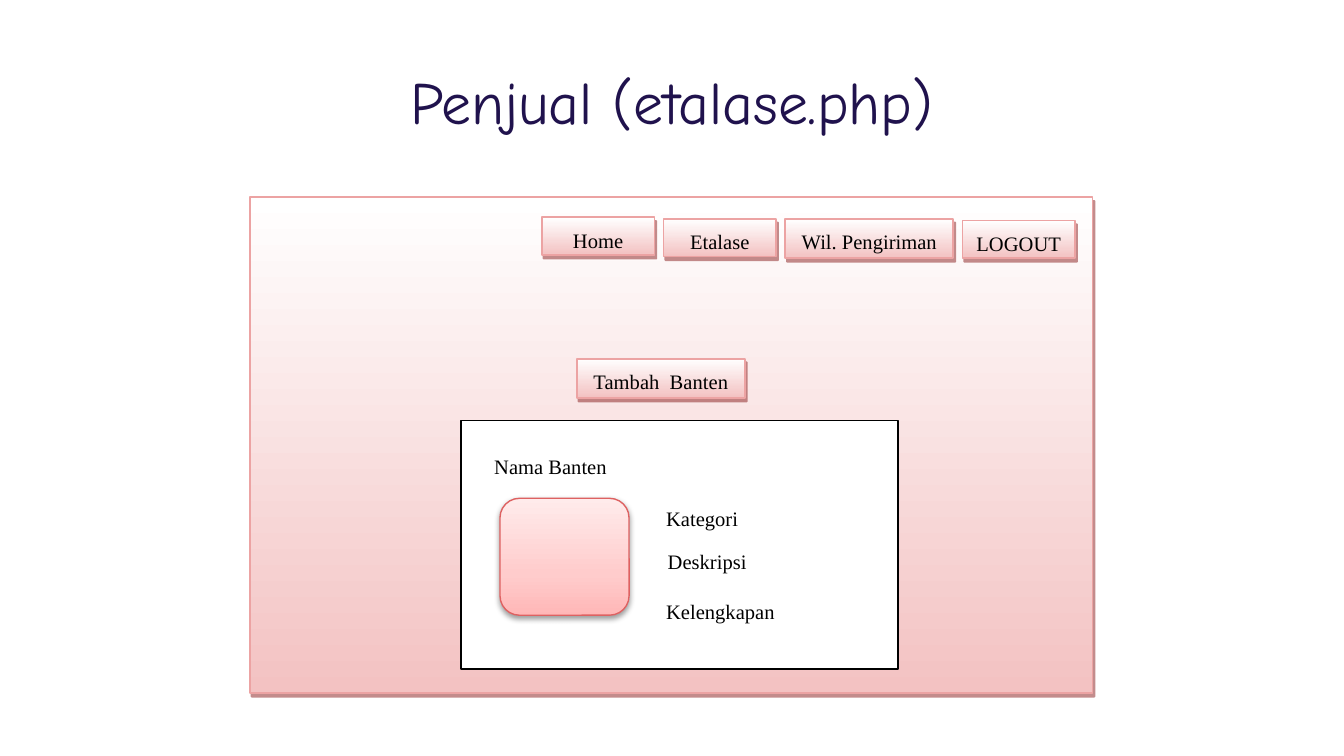
from copy import deepcopy
from dataclasses import dataclass

from lxml import etree
from pptx import Presentation
from pptx.dml.color import RGBColor
from pptx.enum.shapes import MSO_SHAPE as Shape
from pptx.enum.text import MSO_ANCHOR as Anchor, PP_ALIGN as Align
from pptx.oxml.ns import qn
from pptx.util import Cm, Pt

TITLE = "Penjual (etalase.php)"

# Boxes are left, top, width, height in centimetres
TITLE_BOX = (1.98, 1.22, 21.44, 1.6)
PAGE = (4.72, 3.73, 15.93, 9.37)
CARD = (8.71, 7.95, 8.26, 4.7)
PHOTO = (9.45, 9.42, 2.44, 2.21)
ADD_BUTTON = ("Tambah  Banten", (10.9, 6.78, 3.18, 0.74))

MENU_LEFT, MENU_GAP = 10.24, 0.17
MENU = [  # label, top, width, height
    ("Home", 4.11, 2.13, 0.71),
    ("Etalase", 4.14, 2.13, 0.71),
    ("Wil. Pengiriman", 4.14, 3.18, 0.74),
    ("LOGOUT", 4.17, 2.13, 0.71),
]
CARD_LABELS = [
    ("Nama Banten", (9.09, 8.38, 3.23, 0.84)),
    ("Kategori", (12.34, 9.37, 2.18, 0.74)),
    ("Deskripsi", (12.37, 10.19, 2.39, 0.74)),
    ("Kelengkapan", (12.34, 11.13, 3.0, 0.69)),
]


@dataclass(frozen=True)
class Theme:
    title_font: str = "Comic Neue"
    title_size: int = 32
    title_color: str = "20124D"
    font: str = "Times New Roman"
    size: int = 11
    ink: str = "000000"
    paper: str = "FFFFFF"
    # gradient stops run from top to bottom
    panel_stops: tuple = ((0, "FFFFFF"), (1, "F3C2C2"))
    panel_line: str = "ECA3A3"
    panel_shadow: tuple = ("881B1B", 50, 0, 2.2, 63)  # colour, alpha, blur, distance, angle
    photo_stops: tuple = ((0, "FFEBEB"), (0.65, "FFCCCC"), (1, "FFB7B7"))
    photo_line: str = "DE6161"
    photo_shadow: tuple = ("000000", 38, 3.1, 1.6, 90)


THEME = Theme()


def rgb(color):
    return RGBColor.from_string(color)


def lengths(box):
    return [Cm(value) for value in box]


def set_font(paragraph, name, size, color):
    font = paragraph.font
    font.name, font.size = name, Pt(size)
    font.color.rgb = rgb(color)


def write(frame, text, align):
    frame.word_wrap = True
    frame.vertical_anchor = Anchor.TOP
    paragraph = frame.paragraphs[0]
    paragraph.text = text
    paragraph.alignment = align
    paragraph.line_spacing = 1.15
    paragraph.space_after = Pt(10)
    set_font(paragraph, THEME.font, THEME.size, THEME.ink)


def fill_gradient(shape, stops):
    """Fill from top to bottom with any number of stops."""
    shape.fill.gradient()
    shape.fill.gradient_angle = 270
    stop_list = shape._element.spPr.find(qn("a:gradFill")).find(qn("a:gsLst"))
    for _ in stops[2:]:
        stop_list.append(deepcopy(stop_list[-1]))
    for stop, (position, color) in zip(shape.fill.gradient_stops, stops):
        stop.position = position
        stop.color.rgb = rgb(color)


def add_shadow(shape, color, alpha, blur, distance, angle):
    effects = shape._element.spPr.find(qn("a:effectLst"))
    shadow = etree.SubElement(
        effects, qn("a:outerShdw"), blurRad=str(Pt(blur)), dist=str(Pt(distance)),
        dir=str(angle * 60000), algn="ctr", rotWithShape="0")
    tint = etree.SubElement(shadow, qn("a:srgbClr"), val=color)
    etree.SubElement(tint, qn("a:alpha"), val=str(alpha * 1000))


def add_box(shapes, kind, box, line, line_width):
    shape = shapes.add_shape(kind, *lengths(box))
    shape.shadow.inherit = False
    shape.line.color.rgb = rgb(line)
    shape.line.width = Pt(line_width)
    return shape


def add_panel(shapes, box, label=None):
    panel = add_box(shapes, Shape.RECTANGLE, box, THEME.panel_line, 1)
    fill_gradient(panel, THEME.panel_stops)
    add_shadow(panel, *THEME.panel_shadow)
    if label:
        write(panel.text_frame, label, Align.CENTER)


def add_title(slide):
    title = slide.shapes.title
    title.left, title.top, title.width, title.height = lengths(TITLE_BOX)
    title.text_frame.vertical_anchor = Anchor.MIDDLE
    paragraph = title.text_frame.paragraphs[0]
    paragraph.text = TITLE
    paragraph.alignment = Align.CENTER
    paragraph.line_spacing = 0.8
    set_font(paragraph, THEME.title_font, THEME.title_size, THEME.title_color)


def add_wireframe(slide):
    shapes = slide.shapes.add_group_shape().shapes
    add_panel(shapes, PAGE)

    card = add_box(shapes, Shape.RECTANGLE, CARD, THEME.ink, 0.75)
    card.fill.solid()
    card.fill.fore_color.rgb = rgb(THEME.paper)

    left = MENU_LEFT
    for label, top, width, height in MENU:
        add_panel(shapes, (left, top, width, height), label)
        left += width + MENU_GAP
    label, box = ADD_BUTTON
    add_panel(shapes, box, label)

    photo = add_box(shapes, Shape.ROUNDED_RECTANGLE, PHOTO, THEME.photo_line, 0.75)
    fill_gradient(photo, THEME.photo_stops)
    add_shadow(photo, *THEME.photo_shadow)

    for label, box in CARD_LABELS:
        write(shapes.add_textbox(*lengths(box)).text_frame, label, Align.LEFT)


def main():
    deck = Presentation()
    deck.slide_width, deck.slide_height = Cm(25.4), Cm(14.29)
    slide = deck.slides.add_slide(deck.slide_layouts[5])
    add_title(slide)
    add_wireframe(slide)
    deck.save("out.pptx")


if __name__ == "__main__":
    main()
